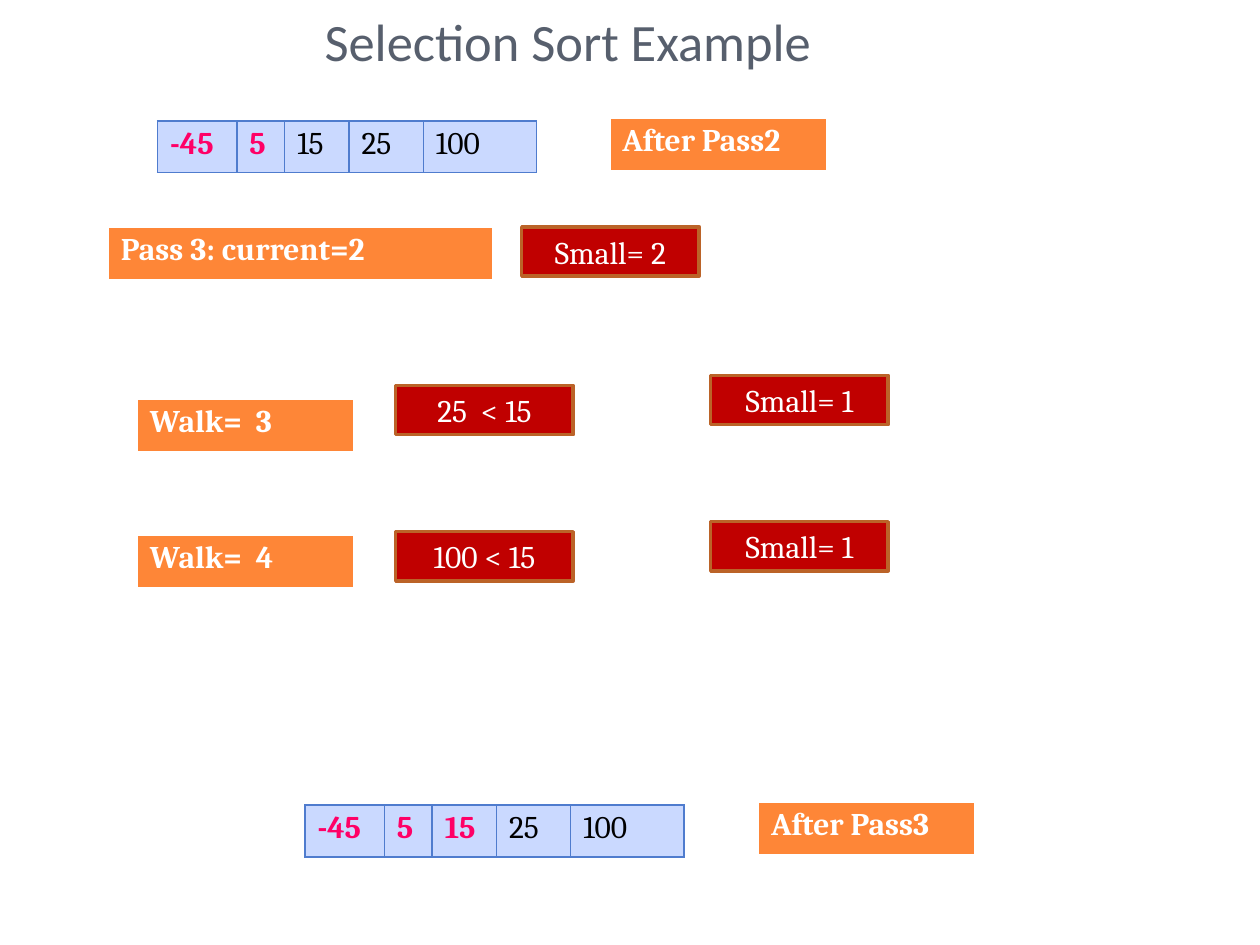
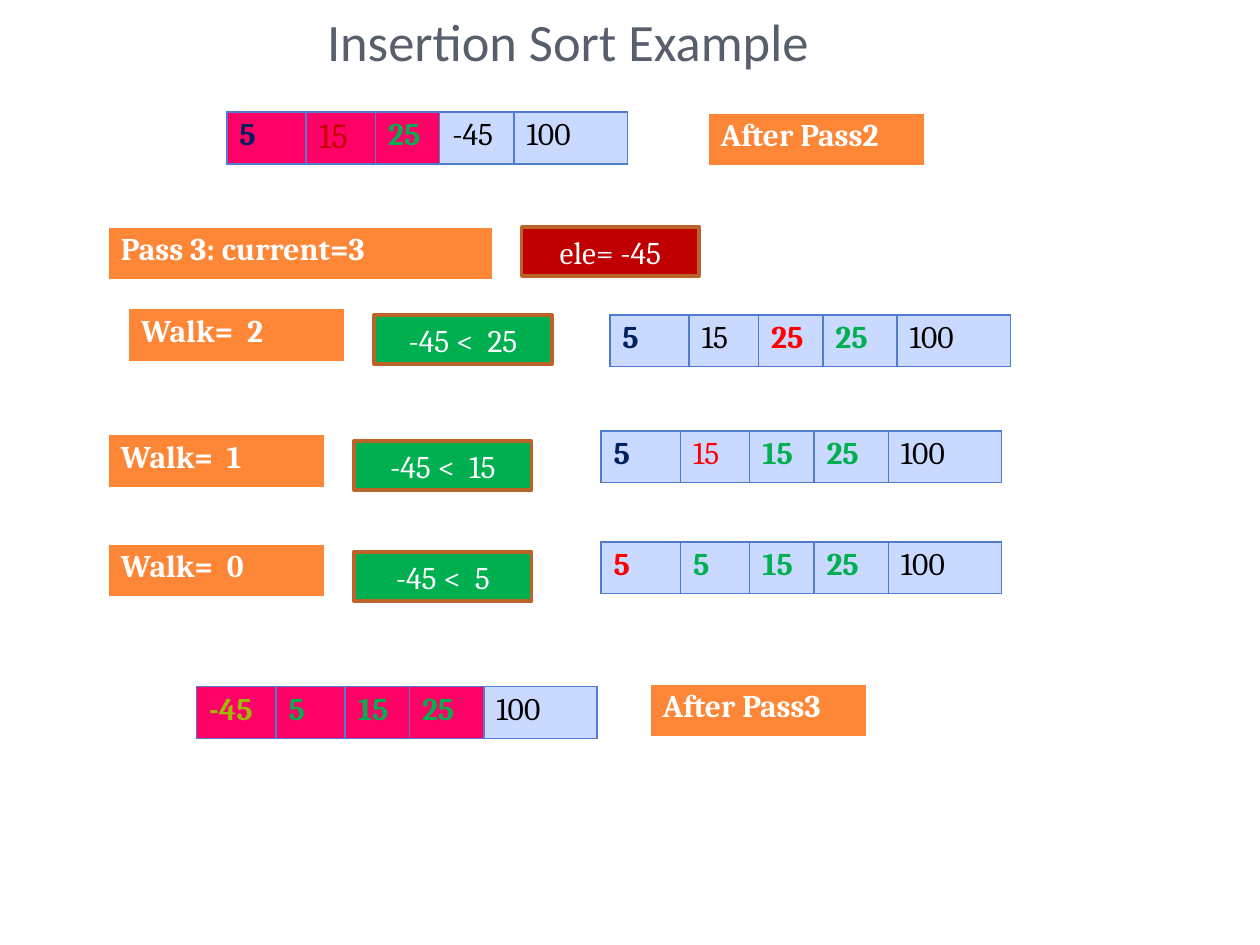
"""Build two slides that trace the third pass of selection sort and insertion sort."""
from dataclasses import dataclass

from lxml.etree import SubElement
from pptx import Presentation
from pptx.dml.color import RGBColor
from pptx.enum.shapes import MSO_SHAPE
from pptx.enum.text import MSO_ANCHOR, MSO_AUTO_SIZE, PP_ALIGN
from pptx.oxml import parse_xml
from pptx.oxml.ns import nsdecls, qn
from pptx.util import Inches, Pt


@dataclass(frozen=True)
class Theme:
    title_font: str = "Calibri"
    body_font: str = "Cambria"
    title_size: int = 30
    body_size: int = 18
    large_size: int = 20
    border: float = 0.96
    label_base: float = 3
    box_line: float = 2
    title: str = "575F6D"
    white: str = "FFFFFF"
    black: str = "000000"
    orange: str = "FE8637"
    brown: str = "BB6328"
    blue: str = "4F7CCE"
    pale: str = "CAD9FF"
    pink: str = "FF0066"
    dark_red: str = "C00000"
    red: str = "FF0000"
    green: str = "00B050"
    navy: str = "002060"
    olive: str = "9CBA06"


T = Theme()
prs = Presentation()
prs.slide_width, prs.slide_height = Inches(10), Inches(7.5)
COL, ROW = prs.slide_width / 100, prs.slide_height / 75

LABEL_W, PASS_W, LABEL_H = 17.2, 30.5, 4.3
BOX_W, BOX_H, ARRAY_H = 14.1, 3.9, 4.1
SELECTION_COLS = [6.3, 3.8, 5.1, 5.9, 9]
INSERTION_COLS = [6.3, 5.5, 5.1, 5.9, 9]


def write(tf, text, size=T.body_size, color=T.white, bold=False,
          font=T.body_font, align=PP_ALIGN.LEFT, spacing=1.0):
    p = tf.paragraphs[0]
    p.alignment, p.line_spacing = align, spacing
    r = p.add_run()
    r.text = text
    r.font.name, r.font.size, r.font.bold = font, Pt(size), bold
    r.font.color.rgb = RGBColor.from_string(color)


def add_cells(s, x, y, widths, height, cells, line, base):
    frame = s.shapes.add_table(1, len(widths), round(x * COL), round(y * ROW),
                               round(sum(widths) * COL), round(height * ROW))
    table = frame.table
    table.first_row = table.horz_banding = False
    for i, (width, (fill, text, style)) in enumerate(zip(widths, cells)):
        table.columns[i].width = round(width * COL)
        cell = table.cell(0, i)
        cell.fill.solid()
        cell.fill.fore_color.rgb = RGBColor.from_string(fill)
        write(cell.text_frame, text, spacing=0.93, **style)
        tcPr = cell._tc.get_or_add_tcPr()
        for n, (side, weight) in enumerate(zip("LRTB", [T.border] * 3 + [base])):
            ln = parse_xml(f'<a:ln{side} {nsdecls("a")} w="{Pt(weight)}"/>')
            SubElement(SubElement(ln, qn("a:solidFill")), qn("a:srgbClr"), val=line)
            tcPr.insert(n, ln)


plain = dict(color=T.black)
pink, navy, red, green, olive = (
    dict(color=c, bold=True) for c in (T.pink, T.navy, T.red, T.green, T.olive))
light_red = dict(color=T.red)
large_red = dict(color=T.dark_red, size=T.large_size)

slides = [
    dict(
        title="Selection Sort Example ",
        columns=SELECTION_COLS,
        labels=[
            (48.4, 9.4, LABEL_W, "After Pass2"),
            (8.6, 18, PASS_W, "Pass 3: current=2"),
            (10.9, 31.7, LABEL_W, "Walk=  3"),
            (10.9, 42.5, LABEL_W, "Walk=  4"),
            (60.2, 63.7, LABEL_W, "After Pass3"),
        ],
        boxes=[
            (41.4, 18, T.dark_red, "Small= 2"),
            (31.4, 30.6, T.dark_red, "25  < 15"),
            (56.4, 29.8, T.dark_red, "Small= 1"),
            (31.4, 42.2, T.dark_red, "100 < 15"),
            (56.4, 41.4, T.dark_red, "Small= 1"),
        ],
        arrays=[
            (12.5, 9.6, 0, "-45 5 15 25 100", [pink, pink, plain, plain, plain]),
            (24.2, 63.9, 0, "-45 5 15 25 100", [pink, pink, pink, plain, plain]),
        ],
    ),
    dict(
        title="Insertion Sort Example ",
        columns=INSERTION_COLS,
        labels=[
            (56.2, 9, LABEL_W, "After Pass2"),
            (8.6, 18, PASS_W, "Pass 3: current=3"),
            (10.2, 24.5, LABEL_W, "Walk=  2"),
            (8.6, 34.5, LABEL_W, "Walk=  1"),
            (8.6, 43.2, LABEL_W, "Walk=  0"),
            (51.6, 54.3, LABEL_W, "After Pass3"),
        ],
        boxes=[
            (41.4, 18, T.dark_red, "ele= -45"),
            (29.7, 25, T.green, "-45 <  25"),
            (28.1, 35, T.green, "-45 <  15"),
            (28.1, 43.8, T.green, "-45 <  5"),
        ],
        arrays=[
            (18, 8.9, 3, "5 15 25 -45 100", [navy, large_red, green, plain, plain]),
            (48.4, 25, 0, "5 15 25 25 100", [navy, plain, red, green, plain]),
            (47.7, 34.2, 0, "5 15 15 25 100", [navy, light_red, green, green, plain]),
            (47.7, 43, 0, "5 5 15 25 100", [red, green, green, green, plain]),
            (15.6, 54.5, 4, "-45 5 15 25 100", [olive, green, green, green, plain]),
        ],
    ),
]

for content in slides:
    s = prs.slides.add_slide(prs.slide_layouts[5])
    title = s.shapes.title
    title.left, title.top = round(4.7 * COL), 0
    title.width, title.height = round(81.7 * COL), round(6.4 * ROW)
    title.text_frame.auto_size = MSO_AUTO_SIZE.NONE
    title.text_frame.vertical_anchor = MSO_ANCHOR.MIDDLE
    write(title.text_frame, content["title"], size=T.title_size, color=T.title,
          font=T.title_font, align=PP_ALIGN.CENTER)

    for x, y, width, text in content["labels"]:
        add_cells(s, x, y, [width], LABEL_H, [(T.orange, text, dict(bold=True))],
                  T.white, T.label_base)

    for x, y, fill, text in content["boxes"]:
        sp = s.shapes.add_shape(MSO_SHAPE.RECTANGLE, round(x * COL), round(y * ROW),
                                round(BOX_W * COL), round(BOX_H * ROW))
        sp.shadow.inherit = False
        sp.fill.solid()
        sp.fill.fore_color.rgb = RGBColor.from_string(fill)
        sp.line.color.rgb = RGBColor.from_string(T.brown)
        sp.line.width = Pt(T.box_line)
        sp.text_frame.vertical_anchor = MSO_ANCHOR.MIDDLE
        write(sp.text_frame, text, align=PP_ALIGN.CENTER)

    for x, y, sorted_count, values, styles in content["arrays"]:
        fills = [T.pink] * sorted_count + [T.pale] * (len(styles) - sorted_count)
        add_cells(s, x, y, content["columns"], ARRAY_H,
                  zip(fills, values.split(), styles), T.blue, T.border)

prs.save("out.pptx")
